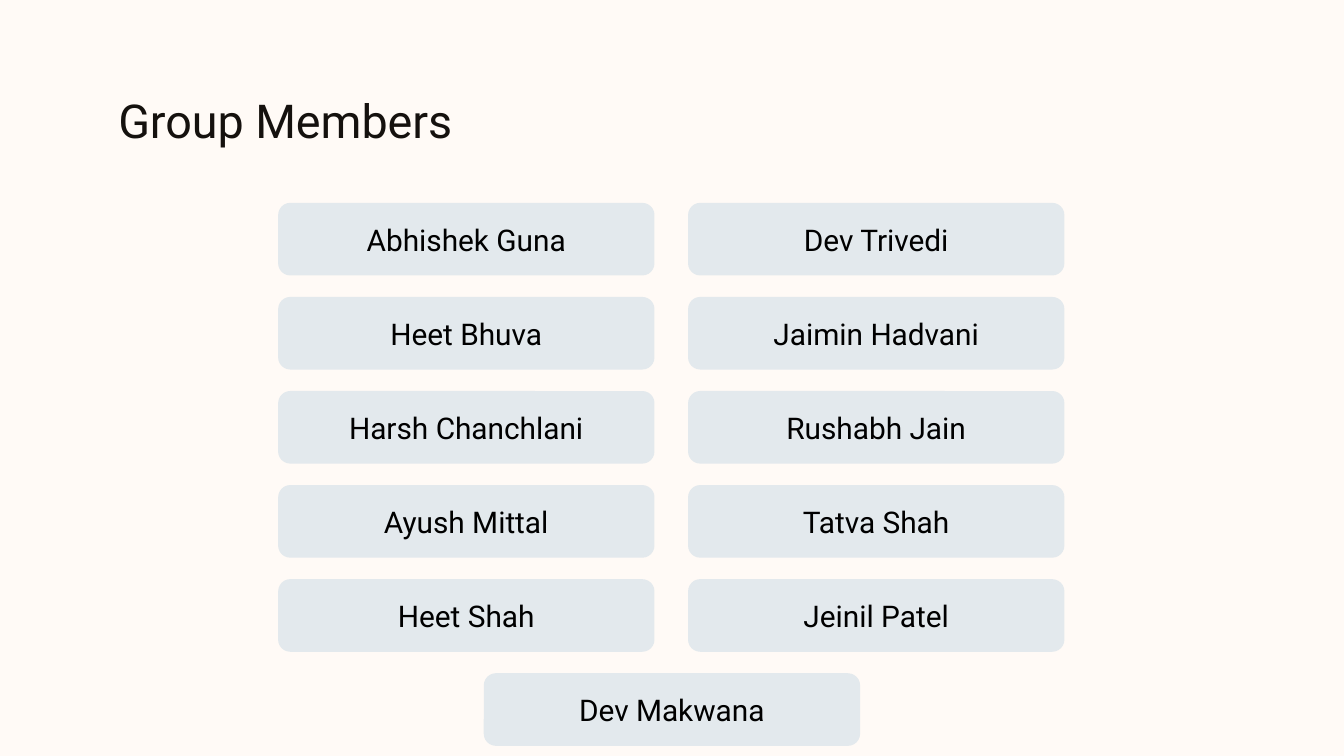
from pptx import Presentation
from pptx.dml.color import RGBColor
from pptx.enum.shapes import MSO_SHAPE as Preset
from pptx.enum.text import MSO_ANCHOR as Anchor, MSO_AUTO_SIZE as AutoSize, PP_ALIGN as Align
from pptx.util import Inches, Pt

CREAM = RGBColor(0xFF, 0xFA, 0xF6)
MIST = RGBColor(0xE3, 0xE9, 0xED)
INK = RGBColor(0x15, 0x11, 0x0E)
BLACK = RGBColor(0, 0, 0)

WIDTH = 10
HEIGHT = WIDTH * 9 / 16
CARD_WIDTH, CARD_HEIGHT = 2.8, 0.54
COLUMN_STEP, ROW_STEP = 3.05, 0.7
MEMBERS = [
    ["Abhishek Guna", "Heet Bhuva", "Harsh Chanchlani", "Ayush Mittal", "Heet Shah"],
    ["Dev Trivedi", "Jaimin Hadvani", "Rushabh Jain", "Tatva Shah", "Jeinil Patel"],
]
LAST_MEMBER = "Dev Makwana"


def write_text(box, text, size, color, align=Align.LEFT, anchor=Anchor.TOP):
    frame = box.text_frame
    frame.word_wrap = True
    frame.auto_size = AutoSize.NONE
    frame.vertical_anchor = anchor
    frame.margin_left = frame.margin_right = Inches(0.1)
    frame.margin_top = frame.margin_bottom = Inches(0.1)
    para = frame.paragraphs[0]
    para.alignment = align
    span = para.add_run()
    span.text = text
    span.font.name = "Roboto"
    span.font.size = Pt(size)
    span.font.color.rgb = color


def place_title(page, text, left, top, width, height):
    title = page.shapes.title
    title.left, title.top = Inches(left), Inches(top)
    title.width, title.height = Inches(width), Inches(height)
    write_text(title, text, size=25, color=INK)


def add_card(shapes, name, left, top):
    card = shapes.add_shape(Preset.FLOWCHART_ALTERNATE_PROCESS, Inches(left), Inches(top),
                            Inches(CARD_WIDTH), Inches(CARD_HEIGHT))
    card.shadow.inherit = False
    card.fill.solid()
    card.fill.fore_color.rgb = MIST
    card.line.fill.background()
    write_text(card, name, size=16, color=BLACK, align=Align.CENTER, anchor=Anchor.MIDDLE)


def add_members(page, left, top):
    group = page.shapes.add_group_shape()
    for column, names in enumerate(MEMBERS):
        for row, name in enumerate(names):
            add_card(group.shapes, name, left + column * COLUMN_STEP, top + row * ROW_STEP)
    add_card(page.shapes, LAST_MEMBER, (WIDTH - CARD_WIDTH) / 2,
             top + len(MEMBERS[0]) * ROW_STEP)


def main():
    deck = Presentation()
    deck.slide_width, deck.slide_height = Inches(WIDTH), Inches(HEIGHT)
    page = deck.slides.add_slide(deck.slide_layouts.get_by_name("Title Only"))
    page.background.fill.solid()
    page.background.fill.fore_color.rgb = CREAM
    place_title(page, "Group Members", left=0.78, top=0.58, width=8.44, height=0.6)
    add_members(page, left=2.07, top=1.51)
    deck.save("out.pptx")


if __name__ == "__main__":
    main()
